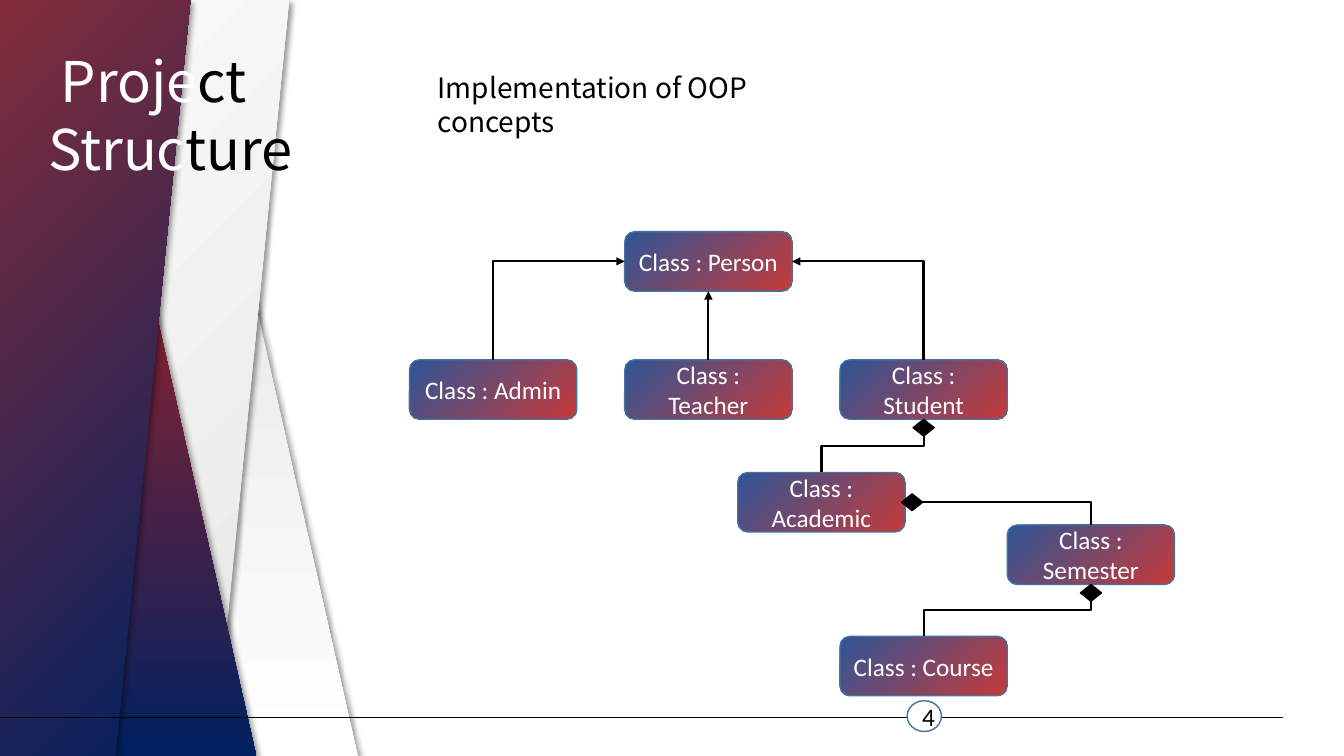
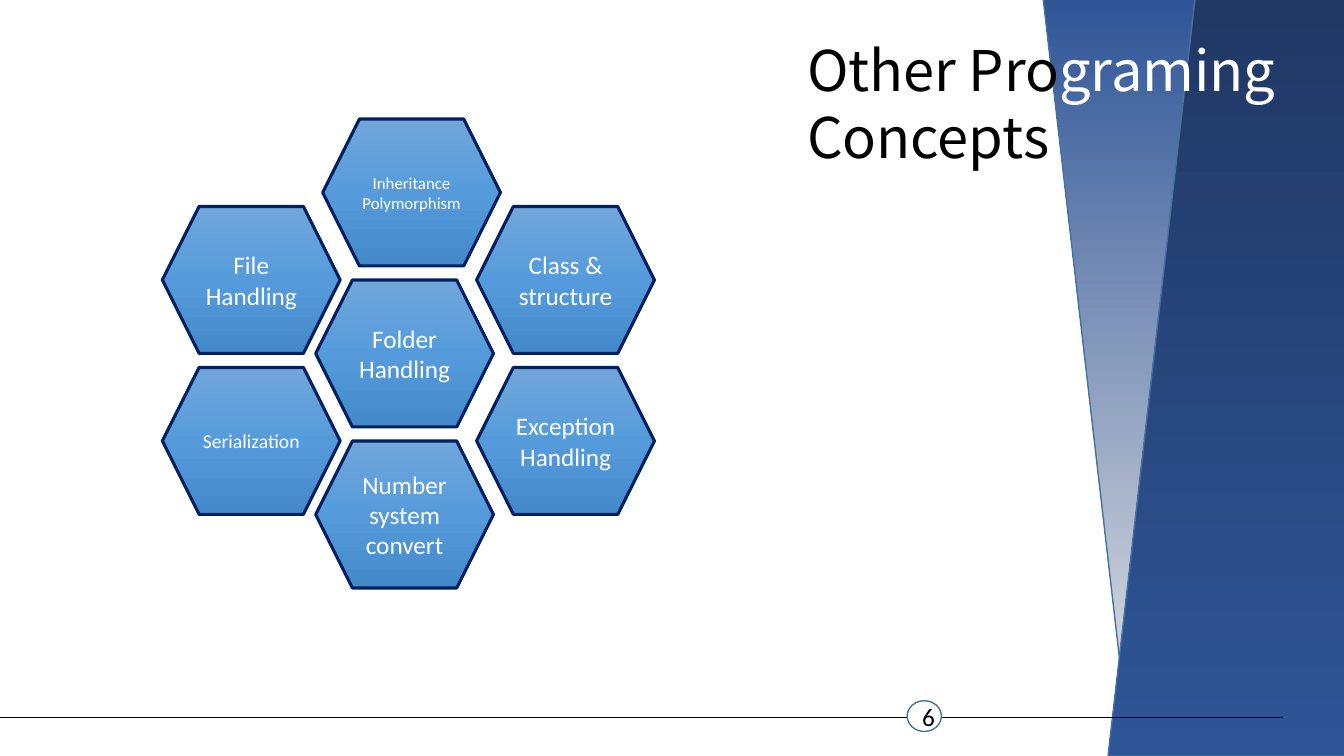
from copy import deepcopy

from lxml import etree
from pptx import Presentation
from pptx.dml.color import RGBColor
from pptx.enum import shapes, text
from pptx.oxml.ns import qn
from pptx.util import Pt

COLORS = {
    "black": "000000",
    "white": "FFFFFF",
    "grey": "E7E6E6",
    "outline": "43739E",
    "navy": "002060",
    "deep blue": "203864",
    "blue": "2F5597",
    "red": "C63A3A",
    "dark red": "A63030",
    "crimson": "A52326",
    "sky top": "71A6DB",
    "sky": "559BDB",
    "sky bottom": "448ACA",
}
SHAPE = shapes.MSO_SHAPE
TOP, LEFT, BOTTOM, RIGHT = range(4)  # connection sites of a box


def rgb(name):
    return RGBColor.from_string(COLORS[name])


class Deck:
    """Holds the presentation, its style and the slide being filled."""

    title_font, body_font = "Noto Sans CJK SC", "Calibri"

    def __init__(self):
        self.presentation = Presentation()
        self.presentation.slide_width = Pt(960)
        self.presentation.slide_height = Pt(540)
        self.slide = None

    def new_slide(self):
        self.slide = self.presentation.slides.add_slide(self.presentation.slide_layouts[6])

    def shape(self, kind, left, top, width, height, fill, angle=90, line=None, weight=1):
        """Add a preset shape; several fill names make an evenly spaced gradient."""
        shape = self.slide.shapes.add_shape(kind, Pt(left), Pt(top), Pt(width), Pt(height))
        shape.shadow.inherit = False
        if len(fill) == 1:
            shape.fill.solid()
            shape.fill.fore_color.rgb = rgb(fill[0])
        else:
            shape.fill.gradient()
            shape.fill.gradient_angle = 360 - angle
            stops = shape._element.spPr.find(".//" + qn("a:gsLst"))
            while len(stops) < len(fill):
                stops.append(deepcopy(stops[0]))
            for index, (stop, name) in enumerate(zip(shape.fill.gradient_stops, fill)):
                stop.position = index / (len(fill) - 1)
                stop.color.rgb = rgb(name)
        if line:
            shape.line.color.rgb = rgb(line)
            shape.line.width = Pt(weight)
        else:
            shape.line.fill.background()
        return shape

    def label(self, shape, words, size=18, color="white"):
        shape.text_frame.text = words
        for paragraph in shape.text_frame.paragraphs:
            paragraph.alignment = text.PP_ALIGN.CENTER
            paragraph.font.name = self.body_font
            paragraph.font.size = Pt(size)
            paragraph.font.color.rgb = rgb(color)

    def class_box(self, name, left, top):
        box = self.shape(SHAPE.ROUNDED_RECTANGLE, left, top, 119.5, 42.5,
                         ("blue", "red"), 45, "outline")
        self.label(box, f"Class : {name}")
        return box

    def hexagon(self, words, left, top, size):
        hexagon = self.shape(SHAPE.HEXAGON, left, top, 127, 105,
                             ("sky top", "sky", "sky bottom"), 90, "navy", 2.25)
        hexagon.text_frame.margin_left = hexagon.text_frame.margin_right = Pt(3)
        self.label(hexagon, words, size)

    def band(self, left, top, width, height, fill, angle=90, slant=0.25,
             flipped=False, line=None):
        """Add a trapezoid band; one without an outline casts a shadow."""
        band = self.shape(SHAPE.TRAPEZOID, left, top, width, height, fill, angle, line)
        band.adjustments[0] = slant
        band.rotation = 180 if flipped else 0
        if not line:
            effects = band._element.spPr.find(qn("a:effectLst"))
            shadow = etree.SubElement(effects, qn("a:outerShdw"), blurRad=str(Pt(4)),
                                      dist=str(Pt(3)), dir="2700000", algn="tl",
                                      rotWithShape="0")
            color = etree.SubElement(shadow, qn("a:srgbClr"), val=COLORS["black"])
            etree.SubElement(color, qn("a:alpha"), val="40000")

    def text_box(self, left, top, width, height, size, *lines):
        """Add text whose lines are lists of (words, colour) pairs."""
        box = self.slide.shapes.add_textbox(Pt(left), Pt(top), Pt(width), Pt(height))
        frame = box.text_frame
        frame.word_wrap = True
        for index, line in enumerate(lines):
            paragraph = frame.add_paragraph() if index else frame.paragraphs[0]
            paragraph.font.name = self.title_font
            paragraph.font.size = Pt(size)
            paragraph.line_spacing = Pt(size * 1.2)
            for words, color in line:
                run = paragraph.add_run()
                run.text = words
                run.font.color.rgb = rgb(color)

    def connector(self, kind, weight):
        connector = self.slide.shapes.add_connector(kind, 0, 0, 0, 0)
        connector.line.color.rgb = rgb("black")
        connector.line.width = Pt(weight)
        etree.SubElement(connector._element.spPr, qn("a:effectLst"))
        return connector

    def arrow(self, child, parent, site):
        """Lead an arrow up from the top of child to a site of parent."""
        straight = child.left == parent.left
        kinds = shapes.MSO_CONNECTOR
        arrow = self.connector(kinds.STRAIGHT if straight else kinds.ELBOW, 1.5)
        etree.SubElement(arrow.line._get_or_add_ln(), qn("a:tailEnd"), type="triangle")
        arrow.begin_connect(child, TOP)
        arrow.end_connect(parent, site)
        if straight:
            return
        # An elbow leaves sideways, so it is laid out flat and turned upright.
        x1, y1, x2, y2 = arrow.begin_x, arrow.begin_y, arrow.end_x, arrow.end_y
        middle_x, middle_y = (x1 + x2) // 2, (y1 + y2) // 2
        half_rise, half_run = (y1 - y2) // 2, (x2 - x1) // 2
        arrow.begin_x, arrow.begin_y = middle_x + half_rise, middle_y + half_run
        arrow.end_x, arrow.end_y = middle_x - half_rise, middle_y - half_run
        arrow.rotation = 90
        if site != BOTTOM:
            arrow._element.spPr.find(qn("a:prstGeom")).set("prst", "bentConnector2")

    def diamond(self, box, site):
        """Add a composition mark just outside the bottom or right of box."""
        x, y = box.left.pt + box.width.pt / 2, box.top.pt + box.height.pt + 6
        if site == RIGHT:
            x, y = box.left.pt + box.width.pt + 5, box.top.pt + box.height.pt / 2
        self.shape(SHAPE.FLOWCHART_DECISION, x - 7.5, y - 6, 15, 12,
                   ("black",), line="black")

    def footer(self, number):
        rule = self.connector(shapes.MSO_CONNECTOR.STRAIGHT, 0.5)
        rule.end_x = Pt(916.5)
        rule.begin_y = rule.end_y = Pt(512.5)
        badge = self.shape(SHAPE.OVAL, 648, 500.5, 24.5, 22, ("white",), line="outline")
        self.label(badge, number, color="black")


def project_structure(deck):
    deck.new_slide()
    left, pitch, top, row = 292.5, 153.75, 165.5, 257
    places = {
        "Person": (left + pitch, top),
        "Admin": (left, row),
        "Teacher": (left + pitch, row),
        "Student": (left + 2 * pitch, row),
        "Academic": (527, 337.5),
        "Semester": (719.5, 375),
        "Course": (left + 2 * pitch, 454.5),
    }
    boxes = {name: deck.class_box(name, *place) for name, place in places.items()}
    inheritance = [("Admin", "Person", LEFT), ("Teacher", "Person", BOTTOM),
                   ("Student", "Person", RIGHT)]
    composition = [("Academic", "Student", BOTTOM), ("Semester", "Academic", RIGHT),
                   ("Course", "Semester", BOTTOM)]
    for child, parent, site in inheritance + composition:
        deck.arrow(boxes[child], boxes[parent], site)
    for _, parent, site in composition:
        deck.diamond(boxes[parent], site)

    bands = [(-42, -109.5, ("grey", "white"), ("grey", "white")),
             (-114.5, -180, ("crimson", "navy"), ("navy", "dark red"))]
    for lower, upper, lower_fill, upper_fill in bands:
        deck.band(lower, 141, 297.5, 399, lower_fill, slant=0.303)
        deck.band(upper, 0, 316, 540, upper_fill, 45, 0.17, flipped=True)

    deck.text_box(27.5, 30, 209, 104.5, 40,
                  [(" Proje", "white"), ("ct", "black")],
                  [("Struc", "white"), ("ture", "black")])
    deck.text_box(305.5, 47, 310, 31.5, 20, [("Implementation of OOP concepts", "black")])
    deck.footer("4")


def programming_concepts(deck):
    deck.new_slide()
    deck.band(745, -2, 249, 538, ("grey", "blue"), flipped=True, line="outline")
    deck.band(791.5, -2, 249, 542, ("deep blue", "blue"), line="outline")
    deck.text_box(569.5, 21.5, 360, 104.5, 40,
                  [("Other Pro", "black"), ("graming", "white")],
                  [("Concepts", "black")])
    step = 115
    columns = [
        (116, 147.5, [("File Handling", 18), ("Serialization", 14)]),
        (225.5, 200, [("Folder Handling", 18), ("Number system convert", 18)]),
        (340.5, 147.5, [("Class & structure", 18), ("Exception Handling", 18)]),
        (230.5, 85, [("Inheritance\nPolymorphism", 12)]),
    ]
    for left, top, concepts in columns:
        for index, (words, size) in enumerate(concepts):
            deck.hexagon(words, left, top + index * step, size)
    deck.footer("6")


def main():
    deck = Deck()
    project_structure(deck)
    programming_concepts(deck)
    deck.presentation.save("out.pptx")


if __name__ == "__main__":
    main()
